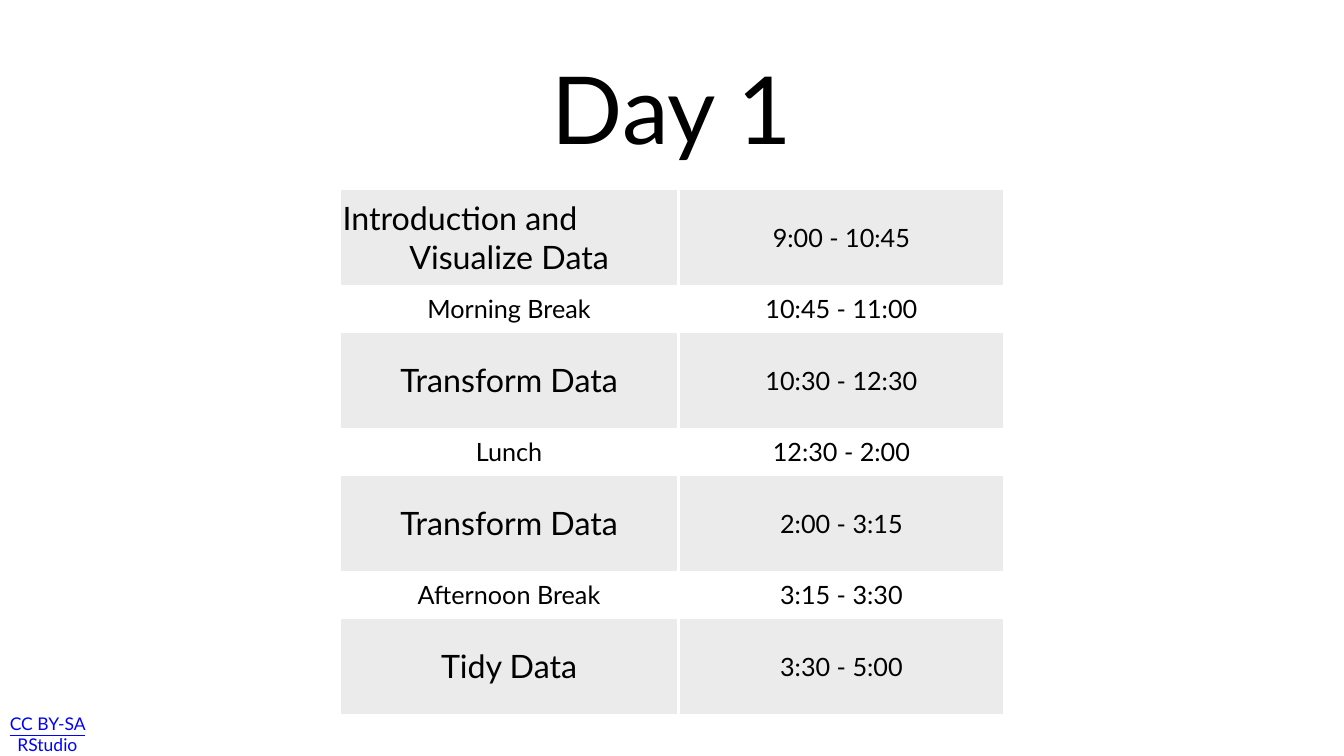
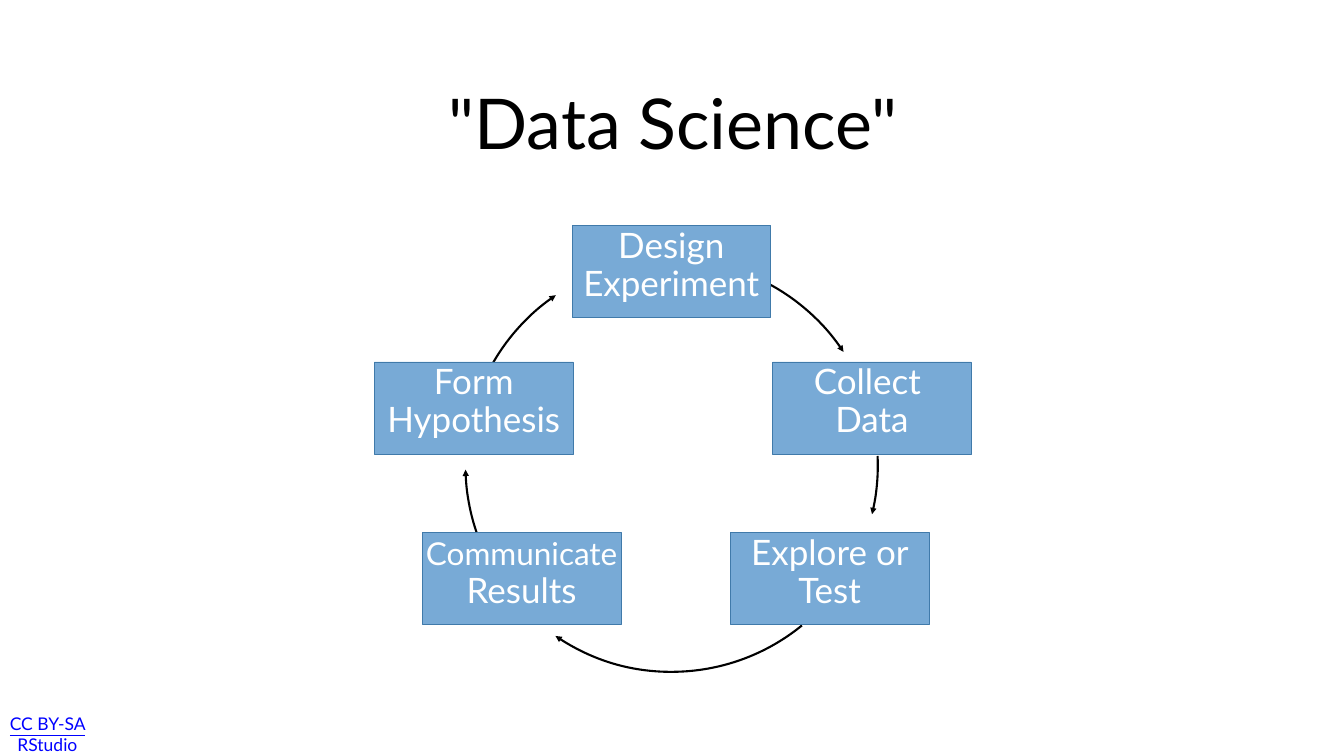
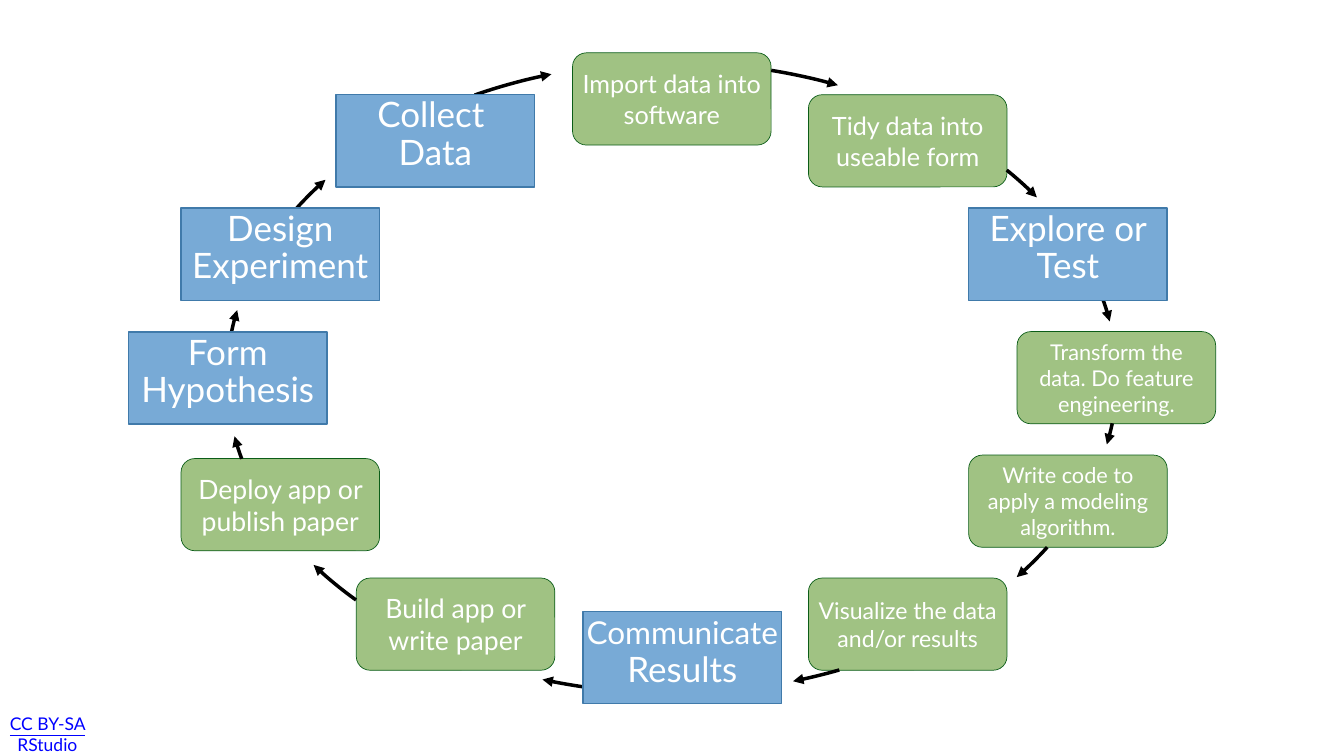
from dataclasses import dataclass
from math import cos, radians, sin, tan

from lxml.etree import SubElement
from pptx import Presentation
from pptx.dml.color import RGBColor
from pptx.enum.shapes import MSO_SHAPE as SHAPE
from pptx.enum.text import MSO_ANCHOR as ANCHOR, MSO_AUTO_SIZE as AUTO, PP_ALIGN as ALIGN
from pptx.oxml.ns import qn
from pptx.util import Pt


@dataclass(frozen=True)
class Theme:
    font: str = "Lato"
    black: str = "000000"
    white: str = "FFFFFF"
    link: str = "0000FF"
    band: str = "EBEBEB"
    blue: str = "78AAD6"
    blue_edge: str = "407AAA"
    green: str = "A0C283"
    green_edge: str = "0B5D18"
    day_title: int = 134
    title: int = 100
    stage: int = 50
    long_stage: int = 45
    session: int = 46
    time: int = 36
    footer: int = 25


TITLE_ONLY, BLANK = 5, 6
BOX_W, BOX_H = 283.7, 131.75

DESIGN = "Design Experiment"
FORM = "Form Hypothesis"
COLLECT = "Collect \nData"
EXPLORE = "Explore or Test"
COMMUNICATE = "Communicate| Results"

AGENDA = [
    ("Introduction and \nVisualize Data", "9:00 - 10:45"),
    ("Morning Break", "10:45 - 11:00"),
    ("Transform Data", "10:30 - 12:30"),
    ("Lunch", "12:30 - 2:00"),
    ("Transform Data", "2:00 - 3:15"),
    ("Afternoon Break", "3:15 - 3:30"),
    ("Tidy Data", "3:30 - 5:00"),
]

SHORT_CYCLE = [
    (DESIGN, 817.2, 321.7),
    (FORM, 535, 517),
    (COLLECT, 1103.8, 517),
    (EXPLORE, 1043.3, 760.3),
    (COMMUNICATE, 603.4, 760.3),
]
SHORT_ARCS = [(160.9, 178.9), (210.1, 235.8), (298.5, 326.5), (-2.7, 13.6), (50.8, 124.3)]

LONG_CYCLE = [
    (FORM, 183.6, 474.3),
    (DESIGN, 258.6, 297.3),
    (COLLECT, 480.2, 135.3),
    (EXPLORE, 1383.8, 297.3),
    (COMMUNICATE, 833, 873.3),
]
TASKS = [
    ("Deploy app or publish paper", 258.6, 655.1, 38),
    ("Build app or write paper", 509, 825.8, 38),
    ("Write code to apply a modeling algorithm.", 1383.8, 650.1, 31),
    ("Transform the data. Do feature engineering.", 1453, 473.7, 31),
    ("Visualize the data and/or results", 1154.9, 825.8, 33),
    ("Tidy data into useable form", 1154.9, 135.3, 36),
    ("Import data into software", 817.9, 75.5, 36),
]
LONG_ARCS = [
    (165.1, 169.3), (135.2, 143.6), (101.5, 106.9), (67.9, 74.2),
    (188.5, 192.4), (212.5, 218.9), (243.7, 254.3), (282.9, 291.9),
    (318.8, 325.1), (345.8, 349.7), (8.3, 12.2), (32.5, 39.2),
]


class Deck:
    def __init__(self, theme):
        self.t = theme
        self.prs = Presentation()
        self.prs.slide_width, self.prs.slide_height = Pt(1920), Pt(1080)
        self.s = None

    def slide(self, layout):
        self.s = self.prs.slides.add_slide(self.prs.slide_layouts[layout])
        self.footer()

    def style(self, p, size, color):
        p.alignment = ALIGN.CENTER
        p.font.name, p.font.size = self.t.font, Pt(size)
        p.font.color.rgb = RGBColor.from_string(color)

    def frame(self, tf, inset, anchor=ANCHOR.MIDDLE):
        tf.word_wrap, tf.auto_size, tf.vertical_anchor = True, AUTO.NONE, anchor
        tf.margin_left = tf.margin_right = tf.margin_top = tf.margin_bottom = Pt(inset)

    def footer(self):
        sp = self.s.shapes.add_textbox(Pt(8.5), Pt(1027), Pt(191.5), Pt(43))
        tf = sp.text_frame
        self.frame(tf, 6)
        tf.margin_left, tf.margin_right = Pt(2), Pt(75)
        p = tf.paragraphs[0]
        p.text = "CC BY-SA RStudio"
        self.style(p, self.t.footer, self.t.link)
        p.font.underline = True

    def title(self, text, x, y, size):
        sp = self.s.shapes.title
        sp.left, sp.top, sp.width, sp.height = Pt(x), Pt(y), Pt(1289), Pt(188.5)
        self.frame(sp.text_frame, 4)
        p = sp.text_frame.paragraphs[0]
        p.text = text
        self.style(p, size, self.t.black)

    def table(self, rows, x, y, widths, heights):
        frame = self.s.shapes.add_table(len(rows), len(widths), Pt(x), Pt(y),
                                        Pt(sum(widths)), Pt(sum(heights)))
        tbl = frame.table
        tbl.first_row = tbl.horz_banding = False
        for column, width in zip(tbl.columns, widths):
            column.width = Pt(width)
        for i, (row, height) in enumerate(zip(rows, heights)):
            tbl.rows[i].height = Pt(height)
            for j, text in enumerate(row):
                is_session = i % 2 == 0
                size = self.t.session if is_session and j == 0 else self.t.time
                self.cell(tbl.cell(i, j), text, size, is_session)

    def cell(self, cell, text, size, banded):
        cell.vertical_anchor = ANCHOR.MIDDLE
        cell.margin_left = cell.margin_right = cell.margin_top = cell.margin_bottom = Pt(4)
        p = cell.text_frame.paragraphs[0]
        p.add_run().text = text
        self.style(p, size, self.t.black)
        tc_pr = cell._tc.get_or_add_tcPr()
        for side in ("a:lnL", "a:lnR", "a:lnT", "a:lnB"):
            ln = SubElement(tc_pr, qn(side), w=str(Pt(5)))
            SubElement(SubElement(ln, qn("a:solidFill")), qn("a:srgbClr"), val=self.t.white)
        if banded:
            cell.fill.solid()
            cell.fill.fore_color.rgb = RGBColor.from_string(self.t.band)
        else:
            cell.fill.background()

    def box(self, kind, x, y, fill, edge, line):
        sp = self.s.shapes.add_shape(kind, Pt(x), Pt(y), Pt(BOX_W), Pt(BOX_H))
        sp.shadow.inherit = False
        sp.fill.solid()
        sp.fill.fore_color.rgb = RGBColor.from_string(fill)
        sp.line.color.rgb = RGBColor.from_string(edge)
        sp.line.width = Pt(line)
        return sp

    def stage(self, text, x, y, line):
        sp = self.box(SHAPE.RECTANGLE, x, y, self.t.blue, self.t.blue_edge, line)
        tf = sp.text_frame
        self.frame(tf, 4, ANCHOR.TOP)
        for i, words in enumerate(text.split("\n")):
            p = tf.add_paragraph() if i else tf.paragraphs[0]
            parts = words.split("|")
            for part in parts:
                p.add_run().text = part
            if len(parts) > 1:
                p.runs[0].font.size = Pt(self.t.long_stage)
            p.line_spacing = 0.9
            self.style(p, self.t.stage, self.t.white)

    def task(self, text, x, y, size):
        sp = self.box(SHAPE.ROUNDED_RECTANGLE, x, y, self.t.green, self.t.green_edge, 1)
        sp.adjustments[0] = 0.15
        self.frame(sp.text_frame, 6)
        p = sp.text_frame.paragraphs[0]
        p.text = text
        self.style(p, size, self.t.white)

    def arc(self, start, end, center, radii, line, curves=2):
        step = radians(end - start) / curves
        pull = 4 / 3 * tan(step / 4)

        def point(angle, shift=0):
            x = cos(angle) - shift * sin(angle)
            y = sin(angle) + shift * cos(angle)
            return Pt(center[0] + radii[0] * x), Pt(center[1] + radii[1] * y)

        angles = [radians(start) + i * step for i in range(curves + 1)]
        points = []
        for a, b in zip(angles, angles[1:]):
            points += [point(a, pull), point(b, -pull), point(b)]
        builder = self.s.shapes.build_freeform(*point(angles[0]))
        builder.add_line_segments(points, close=False)
        sp = builder.convert_to_shape()
        self.bend(sp)
        sp.shadow.inherit = False
        sp.fill.background()
        sp.line.color.rgb = RGBColor.from_string(self.t.black)
        sp.line.width = Pt(line)
        SubElement(sp.line._get_or_add_ln(), qn("a:tailEnd"), type="triangle")

    def bend(self, sp):
        outline = next(sp._element.iter(qn("a:path")))
        segments = outline.findall(qn("a:lnTo"))
        for i in range(0, len(segments), 3):
            curve = SubElement(outline, qn("a:cubicBezTo"))
            for segment in segments[i:i + 3]:
                curve.append(segment[0])
                outline.remove(segment)


def main():
    t = Theme()
    d = Deck(t)

    d.slide(TITLE_ONLY)
    d.title("Day 1", 315.4, 58.3, t.day_title)
    heights = [64.8 if i % 2 else 139.6 for i in range(len(AGENDA))]
    d.table(AGENDA, 485.3, 269.2, [483.8, 465.8], heights)

    d.slide(TITLE_ONLY)
    d.title('"Data Science"', 316.8, 79.2, t.title)
    for start, end in SHORT_ARCS:
        d.arc(start, end, (959.5, 665.3), (294.5, 294.5), 3)
    for text, x, y in SHORT_CYCLE:
        d.stage(text, x, y, 1)

    d.slide(BLANK)
    for text, x, y, size in TASKS:
        d.task(text, x, y, size)
    for start, end in LONG_ARCS:
        d.arc(start, end, (959.8, 539.7), (635.8, 450.5), 5)
    for text, x, y in LONG_CYCLE:
        d.stage(text, x, y, 2)

    d.prs.save("out.pptx")


if __name__ == "__main__":
    main()
